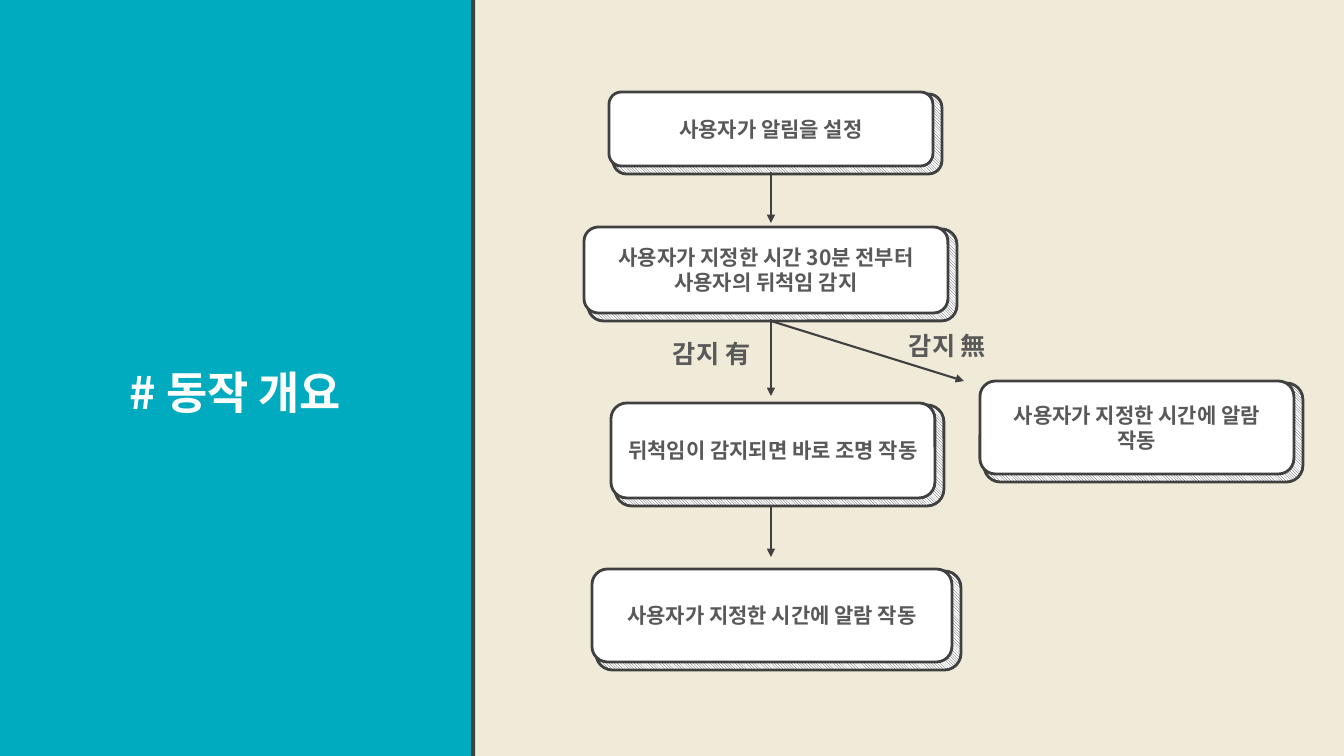
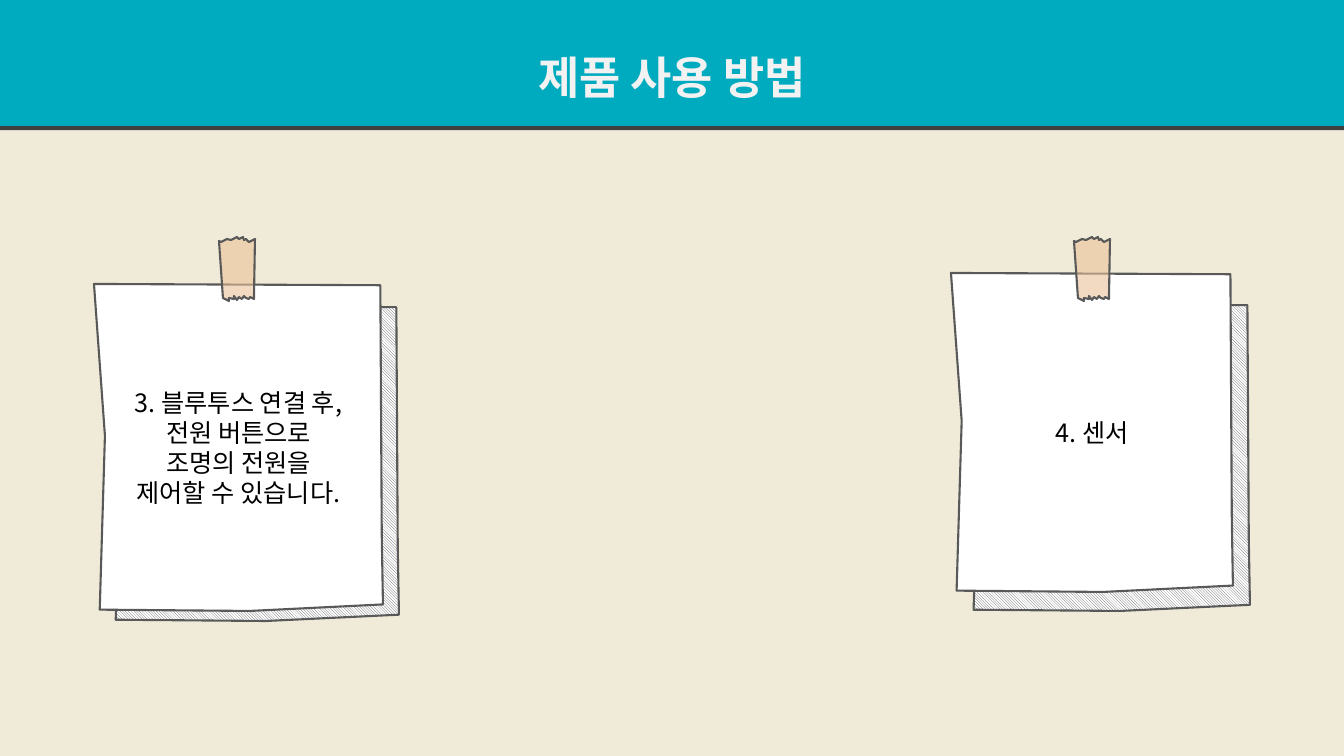
"""Build two slides: a flow chart of the alarm light and notes on its use."""
from lxml import etree
from pptx import Presentation
from pptx import util as u
from pptx.dml.color import RGBColor
from pptx.enum import dml, shapes, text
from pptx.oxml.ns import qn

SCALE = 12192000 / 1344
FONT = "Noto Sans CJK KR"
TEAL = RGBColor(0x00, 0xAB, 0xBF)
CREAM = RGBColor(0xF0, 0xEB, 0xD8)
DARK = RGBColor(0x40, 0x40, 0x40)
GREY = RGBColor(0x59, 0x59, 0x59)
PALE = RGBColor(0xF2, 0xF2, 0xF2)
WHITE = RGBColor(0xFF, 0xFF, 0xFF)
BLACK = RGBColor(0x00, 0x00, 0x00)
TAPE = RGBColor(0xEA, 0xC0, 0x96)


def px(*nums):
    return [u.Emu(round(n * SCALE)) for n in nums]


def write(shape, words, size, color, bold=True, space=None):
    frame = shape.text_frame
    frame.text = words
    frame.word_wrap = True
    for para in frame.paragraphs:
        para.alignment = text.PP_ALIGN.CENTER
        para.line_spacing = space
        for run in para.runs:
            run.font.size = u.Pt(size)
            run.font.bold = bold
            run.font.color.rgb = color
            run.font.name = FONT
            etree.SubElement(run.font._element, qn("a:ea"), typeface=FONT)


prs = Presentation()
prs.slide_width, prs.slide_height = px(1344, 756)
back = prs.slide_master.background.fill
back.solid()
back.fore_color.rgb = CREAM
blank = prs.slide_layouts[6]

bands = [
    ("# 동작 개요", 471, 756, WHITE, 0),
    ("제품 사용 방법", 1344, 126, PALE, 90),
]
slides = []
for title, wide, high, color, angle in bands:
    slide = prs.slides.add_slide(blank)
    slides.append(slide)
    band = slide.shapes.add_shape(shapes.MSO_SHAPE.RECTANGLE, *px(0, 0, wide, high))
    band.fill.solid()
    band.fill.fore_color.rgb = TEAL
    band.line.fill.background()
    band.shadow.inherit = False
    effects = band._element.spPr.find(qn("a:effectLst"))
    shade = etree.SubElement(effects, qn("a:outerShdw"), dist=str(u.Pt(3)),
                             dir=str(angle * 60000), algn="ctr", rotWithShape="0")
    etree.SubElement(shade, qn("a:srgbClr"), val=str(DARK))
    write(band, title, 32, color, space=1.5)
flow, guide = slides

steps = [
    ("사용자가 알림을 설정", 609, 92, 324, 74),
    ("사용자가 지정한 시간 30분 전부터 사용자의 뒤척임 감지", 584, 227, 364, 86),
    ("뒤척임이 감지되면 바로 조명 작동", 611, 403, 324, 95),
    ("사용자가 지정한 시간에 알람 작동", 592, 569, 360, 93),
    ("사용자가 지정한 시간에 알람 작동", 980, 381, 314, 93),
]
for words, x, y, wide, high in steps:
    for area in ((x + 4, y + 2, wide + 5, high + 6), (x, y, wide, high)):
        box = flow.shapes.add_shape(shapes.MSO_SHAPE.ROUNDED_RECTANGLE, *px(*area))
        box.shadow.inherit = False
        box.line.color.rgb = DARK
        box.line.width = u.Pt(2)
        if area[0] == x:
            box.fill.solid()
            box.fill.fore_color.rgb = WHITE
            write(box, words, 15, GREY)
        else:
            box.fill.patterned()
            box.fill.pattern = dml.MSO_PATTERN.DARK_DOWNWARD_DIAGONAL
            box.fill.fore_color.rgb = DARK
            box.fill.back_color.rgb = WHITE

for words, x, y, wide in (("감지 無", 899, 325, 106), ("감지 有", 663, 333, 116)):
    label = flow.shapes.add_textbox(*px(x, y, wide, 40))
    write(label, words, 18, GREY)
    label.text_frame.paragraphs[0].alignment = text.PP_ALIGN.LEFT

for top, right, end in ((172, 771, 223), (319, 771, 396), (321, 964, 381), (507, 771, 557)):
    arrow = flow.shapes.add_connector(shapes.MSO_CONNECTOR.STRAIGHT, *px(771, top, right, end))
    arrow.line.color.rgb = DARK
    arrow.line.width = u.Pt(1.5)
    etree.SubElement(arrow.line._get_or_add_ln(), qn("a:tailEnd"), type="triangle")
    etree.SubElement(arrow._element.spPr, qn("a:effectLst"))

sheet = [(0, 0), (991, 4), (996, 770), (1000, 980), (539, 1000), (20, 996), (38, 464)]
strip = [
    (4, 61), (10, 64), (10, 61), (15, 62), (15, 59), (18, 63), (20, 60), (23, 62),
    (25, 59), (27, 61), (30, 62), (31, 60), (35, 62), (36, 2), (30, 5), (27, 2),
    (25, 3), (24, 0), (20, 2), (18, 0), (12, 3), (8, 2), (2, 5), (0, 4),
]
notes = [
    ("4. 센서", (968, 304, 282, 307), (951, 273, 282, 319), 1074),
    ("3. 블루투스 연결 후,\n전원 버튼으로\n조명의 전원을\n제어할 수 있습니다.",
     (110, 306, 289, 315), (94, 284, 289, 327), 219),
]
for words, rear, front, left in notes:
    parts = [[(x + w * a / 1000, y + h * b / 1000) for a, b in sheet]
             for x, y, w, h in (rear, front)]
    parts.append([(left + a, 237 + b) for a, b in strip])
    made = []
    for points in parts:
        first, *rest = [px(*point) for point in points]
        pen = guide.shapes.build_freeform(*first, scale=1.0)
        pen.add_line_segments(rest, close=True)
        piece = pen.convert_to_shape()
        piece.shadow.inherit = False
        piece.line.color.rgb = GREY
        piece.line.width = u.Pt(1.5)
        made.append(piece)
    under, paper, tape = made
    under.fill.patterned()
    under.fill.pattern = dml.MSO_PATTERN.DARK_DOWNWARD_DIAGONAL
    under.fill.fore_color.rgb = GREY
    under.fill.back_color.rgb = WHITE
    for piece, color in ((paper, WHITE), (tape, TAPE)):
        piece.fill.solid()
        piece.fill.fore_color.rgb = color
    tint = tape._element.spPr.find(qn("a:solidFill"))[0]
    etree.SubElement(tint, qn("a:alpha"), val="58000")
    write(paper, words, 18, BLACK, bold=False)
    paper.text_frame.vertical_anchor = text.MSO_ANCHOR.MIDDLE

prs.save("out.pptx")
